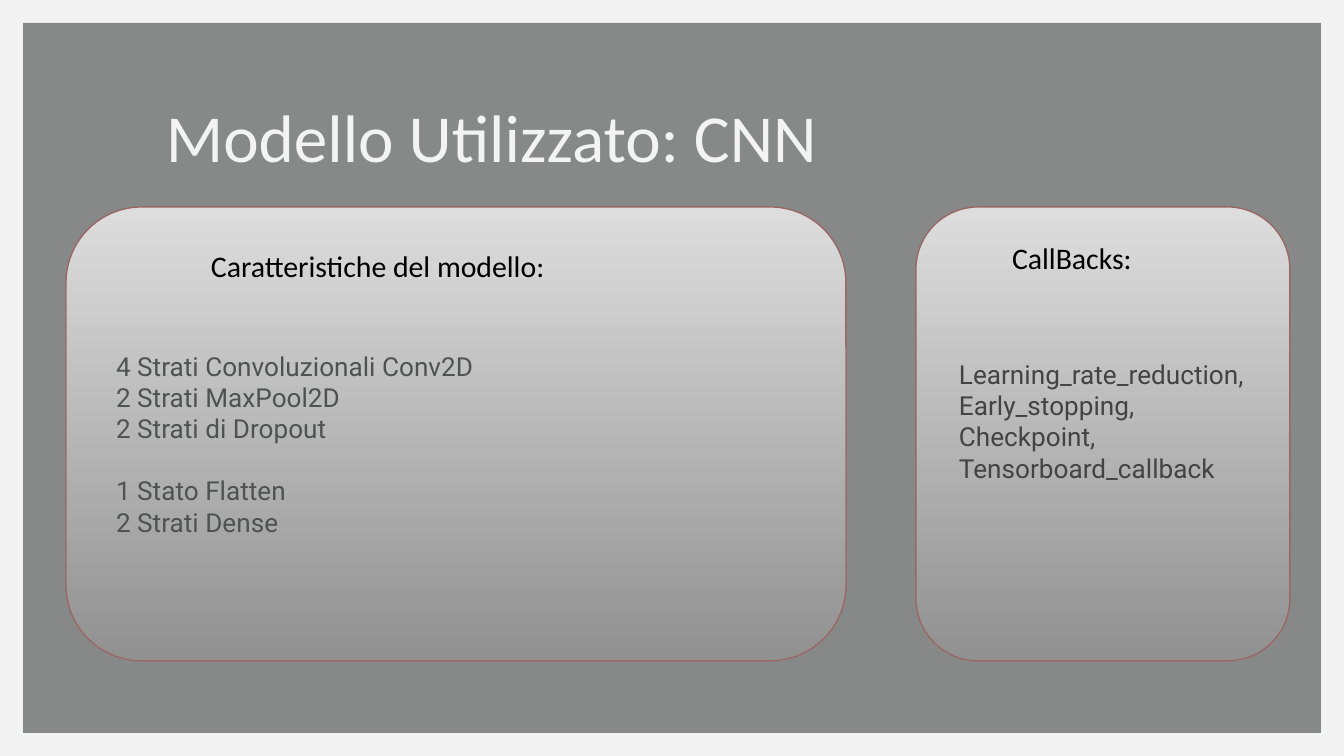
"""Build the slide that presents the CNN model and its callbacks."""
from lxml import etree
from pptx import Presentation
from pptx.dml.color import RGBColor
from pptx.enum.shapes import MSO_SHAPE
from pptx.enum.text import MSO_ANCHOR, MSO_AUTO_SIZE, PP_ALIGN
from pptx.oxml.ns import qn
from pptx.util import Pt

RECTANGLE, ROUNDED = MSO_SHAPE.RECTANGLE, MSO_SHAPE.ROUNDED_RECTANGLE
TOP, BOTTOM = MSO_ANCHOR.TOP, MSO_ANCHOR.BOTTOM
LEFT, RIGHT = PP_ALIGN.LEFT, PP_ALIGN.RIGHT
NO_FIT = MSO_AUTO_SIZE.NONE

SCALE = 914400 / 134.4
WIDTH, HEIGHT, MARGIN, INSET = 1344, 756, 23, 13
CARD_TOP, CARD_HEIGHT = 207, 454
GROUP_GAP = 16.4
COLORS = {
    "light": "F3F3F3", "slate": "505252", "black": "000000", "dark": "434343",
    "card_top": "DDDDDD", "card_bottom": "919191", "border": "9A6767",
}

TITLE = "Modello Utilizzato: CNN"
CARDS = [
    {
        "left": 66, "width": 780,
        "heading": "Caratteristiche del modello:", "heading_at": (198, 235, 516, 102),
        "groups": [
            ["4 Strati Convoluzionali Conv2D", "2 Strati MaxPool2D", "2 Strati di Dropout"],
            ["1 Stato Flatten", "2 Strati Dense"],
        ],
        "body_at": (103, 337, 695, 273), "color": "slate",
    },
    {
        "left": 916, "width": 374,
        "heading": "CallBacks:", "heading_at": (999, 227, 208, 102),
        "groups": [["Learning_rate_reduction, Early_stopping, Checkpoint, Tensorboard_callback"]],
        "body_at": (946, 345, 314, 177), "color": "dark",
    },
]


def px(*lengths):
    return [round(length * SCALE) for length in lengths]


def rgb(name):
    return RGBColor.from_string(COLORS[name])


def write(box, groups, *, font, size, color, align=LEFT, anchor=TOP, right=INSET):
    frame = box.text_frame
    frame.word_wrap = True
    frame.auto_size = NO_FIT
    frame.vertical_anchor = anchor
    frame.margin_left = frame.margin_top = frame.margin_bottom = px(INSET)[0]
    frame.margin_right = px(right)[0]
    frame.text = "\n".join(line for group in groups for line in group)
    paragraphs = iter(frame.paragraphs)
    for group_index, group in enumerate(groups):
        for line_index, _ in enumerate(group):
            para = next(paragraphs)
            para.alignment = align
            if group_index and not line_index:
                para.space_before = Pt(GROUP_GAP)
            for span in para.runs:
                span.font.name = font
                span.font.size = Pt(size)
                span.font.color.rgb = rgb(color)


def add_backdrop(page):
    backdrop = page.shapes.add_shape(
        RECTANGLE, *px(MARGIN, MARGIN, WIDTH - 2 * MARGIN, HEIGHT - 2 * MARGIN))
    backdrop.shadow.inherit = False
    backdrop.line.fill.background()
    backdrop.fill.solid()
    backdrop.fill.fore_color.rgb = rgb("slate")
    tint = backdrop.element.spPr.find(qn("a:solidFill"))[0]
    etree.SubElement(tint, qn("a:alpha"), val="66000")
    page.shapes.title.element.addprevious(backdrop.element)


def add_card(page, card):
    panel = page.shapes.add_shape(
        ROUNDED, *px(card["left"], CARD_TOP, card["width"], CARD_HEIGHT))
    panel.shadow.inherit = False
    panel.fill.gradient()
    panel.fill.gradient_angle = 270
    for stop, name in zip(panel.fill.gradient_stops, ("card_top", "card_bottom")):
        stop.color.rgb = rgb(name)
    panel.line.color.rgb = rgb("border")
    panel.line.width = Pt(0.75)
    heading = page.shapes.add_textbox(*px(*card["heading_at"]))
    write(heading, [[card["heading"]]], font="Calibri", size=16, color="black")
    body = page.shapes.add_textbox(*px(*card["body_at"]))
    write(body, card["groups"], font="Roboto", size=14, color=card["color"])


def main():
    deck = Presentation()
    deck.slide_width, deck.slide_height = px(WIDTH, HEIGHT)
    page = deck.slides.add_slide(deck.slide_layouts[5])
    page.background.fill.solid()
    page.background.fill.fore_color.rgb = rgb("light")
    add_backdrop(page)
    title = page.shapes.title
    title.left, title.top, title.width, title.height = px(36, 51, 809, 138)
    write(title, [[TITLE]], font="Calibri", size=36, color="light",
          align=RIGHT, anchor=BOTTOM, right=28)
    for card in CARDS:
        add_card(page, card)
    deck.save("out.pptx")


if __name__ == "__main__":
    main()
